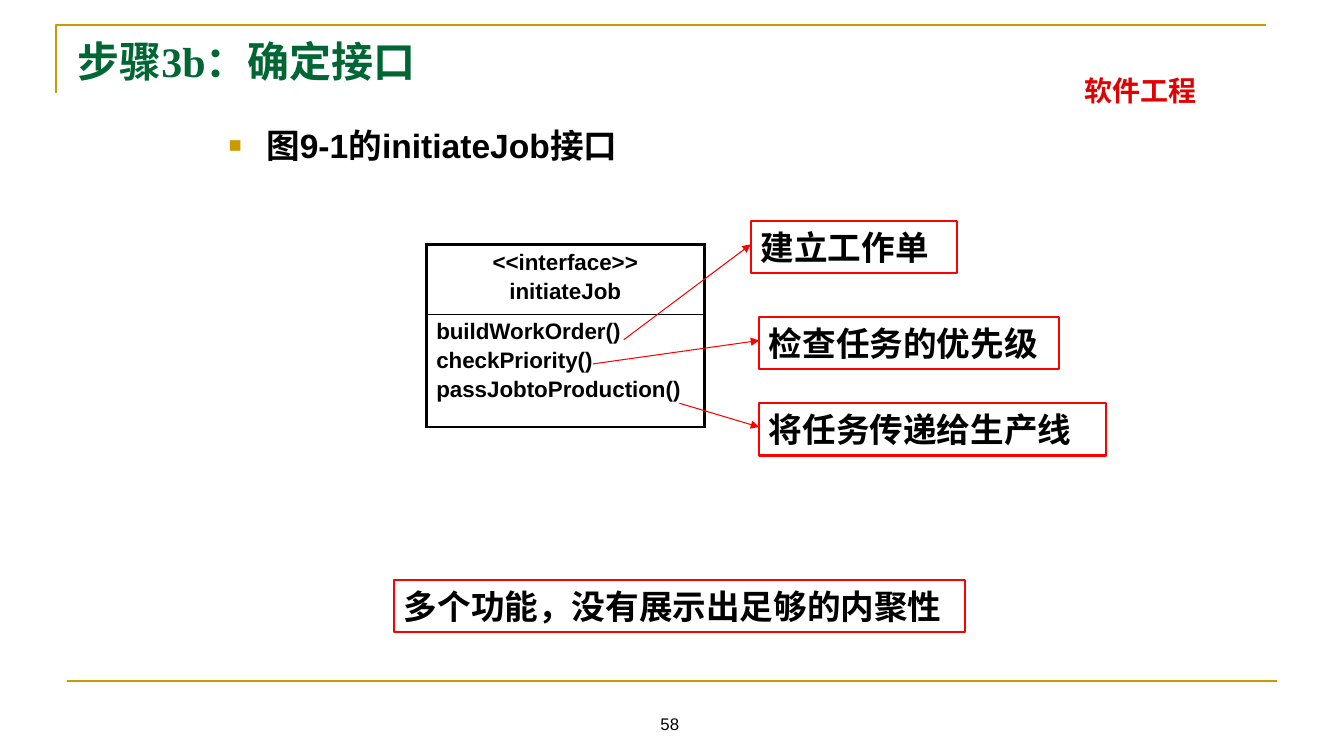
from dataclasses import dataclass

from lxml import etree
from pptx import Presentation, util as u
from pptx.dml.color import RGBColor
from pptx.enum import shapes, text
from pptx.oxml import ns


@dataclass(frozen=True)
class Theme:
    """Colours, fonts and type sizes of the slide."""
    gold: str = "CC9900"
    green: str = "006633"
    crimson: str = "E20000"
    red: str = "FF0000"
    black: str = "000000"
    sans: str = "Arial"
    serif: str = "Times New Roman"
    chinese: str = "Noto Sans CJK JP"
    title: int = 30
    body: int = 24
    label: int = 20
    code: int = 16
    number: int = 12


class SlideBuilder:
    """Draws each kind of element on the current slide."""

    def __init__(self, slide, theme):
        self.slide = slide
        self.theme = theme

    def add_xml(self, parent, tag, **attributes):
        """Append one drawing element."""
        return etree.SubElement(parent, ns.qn(tag), attributes)

    def style_line(self, line, color, width):
        """Colour and size an outline."""
        line.color.rgb = RGBColor.from_string(color)
        line.width = u.Pt(width)

    def fill_text(self, frame, lines, size, font, color=None, bold=True,
                  align=text.PP_ALIGN.LEFT, anchor=text.MSO_ANCHOR.MIDDLE, gap=0):
        """Fill a text frame with one paragraph per line."""
        frame.word_wrap = True
        frame.vertical_anchor = anchor
        formats = {"size": u.Pt(size), "name": font, "bold": bold}
        for index, line in enumerate(lines):
            paragraph = frame.add_paragraph() if index else frame.paragraphs[0]
            paragraph.alignment = align
            paragraph.space_before = u.Pt(gap if index else 0)
            run = paragraph.add_run()
            run.text = line
            for name, value in formats.items():
                setattr(run.font, name, value)
            run.font.color.rgb = RGBColor.from_string(color or self.theme.black)
            self.add_xml(run.font._element, "a:ea", typeface=self.theme.chinese)

    def add_text(self, box, line, size, font, **options):
        """Add a text box and return its paragraph."""
        shape = self.slide.shapes.add_textbox(*map(u.Cm, box))
        self.fill_text(shape.text_frame, [line], size, font, **options)
        return shape.text_frame.paragraphs[0]

    def add_bullet(self, box, line):
        """Add a text box with a square bullet."""
        paragraph = self.add_text(box, line, self.theme.body, self.theme.sans,
                                  anchor=text.MSO_ANCHOR.TOP)
        properties = paragraph._p.get_or_add_pPr()
        indent = u.Cm(0.95)
        properties.set("marL", str(indent))
        properties.set("indent", str(-indent))
        color = self.add_xml(properties, "a:buClr")
        self.add_xml(color, "a:srgbClr", val=self.theme.gold)
        self.add_xml(properties, "a:buSzPct", val="65000")
        self.add_xml(properties, "a:buFont", typeface=self.theme.sans)
        self.add_xml(properties, "a:buChar", char="■")

    def add_note(self, box, line):
        """Add a red outlined note."""
        shape = self.slide.shapes.add_shape(
            shapes.MSO_SHAPE.RECTANGLE, *map(u.Cm, box))
        shape.shadow.inherit = False
        shape.fill.background()
        self.style_line(shape.line, self.theme.red, 1.5)
        self.fill_text(shape.text_frame, [line], self.theme.body, self.theme.serif)

    def add_line(self, start, end, color, width, arrow=False):
        """Add a straight line, with an arrowhead if wanted."""
        connector = self.slide.shapes.add_connector(
            shapes.MSO_CONNECTOR.STRAIGHT, *map(u.Cm, start + end))
        self.style_line(connector.line, color, width)
        properties = connector._element.spPr
        if arrow:
            self.add_xml(properties.find(ns.qn("a:ln")), "a:tailEnd", type="triangle")
        self.add_xml(properties, "a:effectLst")

    def add_corner(self, points):
        """Add the open corner above the title."""
        first, *rest = [tuple(map(u.Cm, point)) for point in points]
        builder = self.slide.shapes.build_freeform(*first)
        builder.add_line_segments(rest, close=False)
        shape = builder.convert_to_shape()
        shape.shadow.inherit = False
        shape.fill.background()
        self.style_line(shape.line, self.theme.gold, 1.5)

    def set_borders(self, cell, widths):
        """Draw the left, right, top and bottom borders of a cell."""
        properties = cell._tc.get_or_add_tcPr()
        for index, (side, width) in enumerate(zip("LRTB", widths)):
            border = etree.Element(ns.qn(f"a:ln{side}"), w=str(u.Pt(width)))
            fill = self.add_xml(border, "a:solidFill")
            self.add_xml(fill, "a:srgbClr", val=self.theme.black)
            properties.insert(index, border)

    def add_interface(self, left, top, width, rows):
        """Add the interface box as a table of one column."""
        total = sum(row[0] for row in rows)
        table = self.slide.shapes.add_table(
            len(rows), 1, *map(u.Cm, (left, top, width, total))).table
        table.first_row = table.horz_banding = False
        for index, (height, lines, align, borders) in enumerate(rows):
            table.rows[index].height = u.Cm(height)
            cell = table.cell(index, 0)
            cell.fill.background()
            self.fill_text(cell.text_frame, lines, self.theme.code, self.theme.sans,
                           align=align, anchor=text.MSO_ANCHOR.TOP, gap=3)
            cell.vertical_anchor = text.MSO_ANCHOR.TOP
            self.set_borders(cell, borders)


def main():
    """Build and save the slide."""
    presentation = Presentation()
    presentation.slide_width = u.Cm(33.87)
    presentation.slide_height = u.Cm(19.05)
    theme = Theme()
    slide = SlideBuilder(
        presentation.slides.add_slide(presentation.slide_layouts[6]), theme)
    center, left = text.PP_ALIGN.CENTER, text.PP_ALIGN.LEFT

    slide.add_corner([(1.42, 2.34), (1.42, 0.64), (31.9, 0.64)])
    slide.add_line((1.7, 17.15), (32.18, 17.15), theme.gold, 1.5)
    slide.add_text((23.34, 1.73, 10.8, 1.09), "软件工程", theme.label,
                   theme.chinese, color=theme.crimson, align=center)
    slide.add_text((12.93, 17.35, 7.9, 1.27), "58", theme.number, theme.sans,
                   bold=False, align=center, anchor=text.MSO_ANCHOR.BOTTOM)
    slide.add_text((1.7, 0.76, 30.48, 1.55), "步骤3b：确定接口", theme.title,
                   theme.serif, color=theme.green)
    slide.add_bullet((5.51, 3.02, 21.44, 14.1), "图9-1的initiateJob接口")

    thick, thin = 2.25, 1
    methods = ["buildWorkOrder()", "checkPriority()", "passJobtoProduction()"]
    slide.add_interface(10.74, 6.17, 7.01, [
        (1.75, ["<<interface>>", "initiateJob"], center, (thick, thick, thick, thin)),
        (2.84, methods, left, (thick, thick, thin, thick)),
    ])

    note_height = 1.32
    slide.add_note((9.93, 14.61, 14.4, note_height), "多个功能，没有展示出足够的内聚性")
    explanations = [
        ("建立工作单", 18.92, 5.56, 5.21, (15.72, 8.56)),
        ("检查任务的优先级", 19.13, 7.98, 7.57, (14.94, 9.17)),
        ("将任务传递给生产线", 19.13, 10.16, 8.74, (17.12, 10.16)),
    ]
    for line, x, y, width, start in explanations:
        slide.add_note((x, y, width, note_height), line)
        slide.add_line(start, (x, y + 0.6), theme.red, 0.75, arrow=True)

    presentation.save("out.pptx")


if __name__ == "__main__":
    main()
